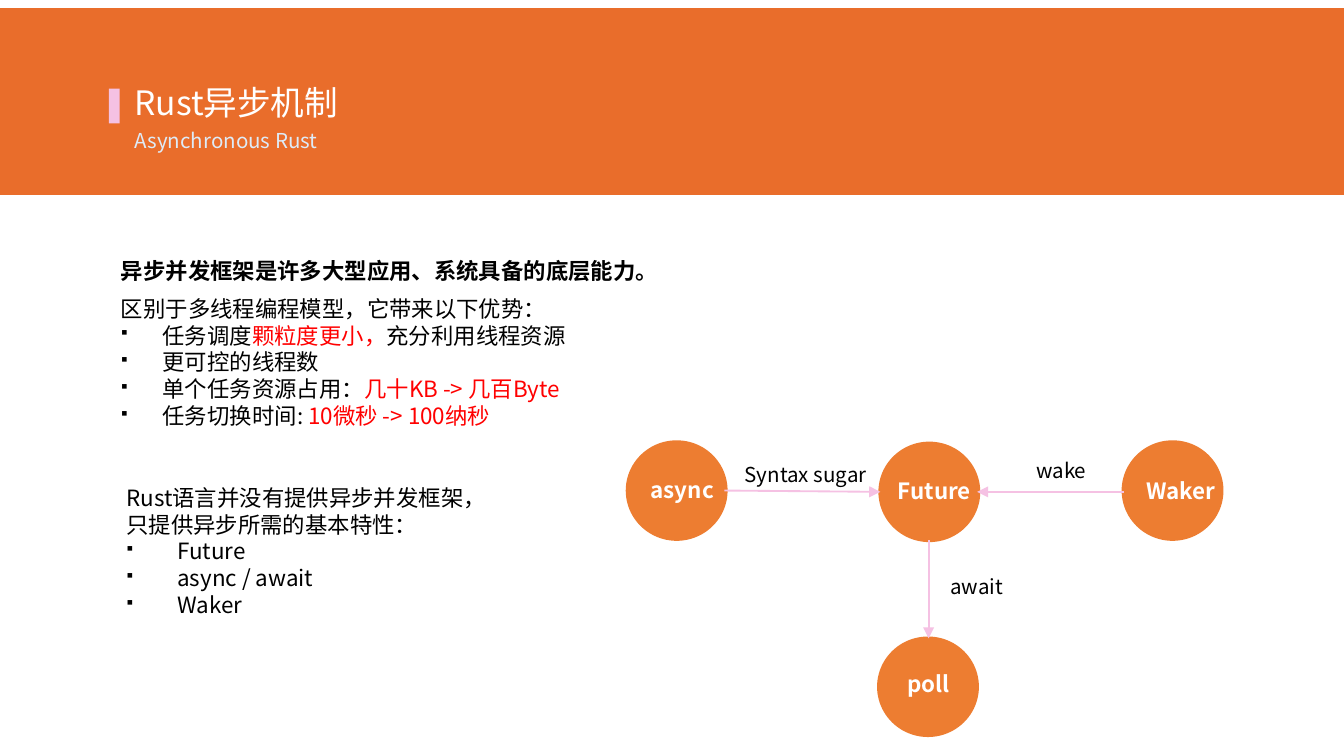
from lxml import etree
from pptx import Presentation, util as u
from pptx.dml.color import RGBColor
from pptx.enum import shapes as s, text as t
from pptx.oxml.ns import qn

PX = 9144  # 100 px to the inch
FONT = "Noto Sans CJK SC"
ORANGE, PINK, RED = "ED7D31", "F5C1E3", "FF0000"


def rgb(code):
    return RGBColor.from_string(code)


def write(shape, box, rows, size=12, color="000000", bold=False, head=1, indent=0, lead=False):
    """Rows after the first `head` are bullets; text between bars is red."""
    shape.left, shape.top, shape.width, shape.height = [n * PX for n in box]
    frame = shape.text_frame
    frame.word_wrap = True
    frame.auto_size = t.MSO_AUTO_SIZE.NONE
    frame.vertical_anchor = t.MSO_ANCHOR.TOP
    frame.margin_left = frame.margin_right = 5 * PX
    frame.margin_top = frame.margin_bottom = 5 * PX
    for i, row in enumerate(rows):
        para = frame.paragraphs[0] if i == 0 else frame.add_paragraph()
        para.alignment = t.PP_ALIGN.LEFT
        para.space_before = u.Pt(0)
        para.space_after = u.Pt(6 if lead and i == 0 else 0)
        props = para._p.get_or_add_pPr()
        dent = indent if i >= head else 0
        props.set("marL", str(dent * PX))
        props.set("indent", str(-dent * PX))
        if dent:
            etree.SubElement(props, qn("a:buSzPct")).set("val", "70000")
            etree.SubElement(props, qn("a:buFont")).set("typeface", "Wingdings")
            etree.SubElement(props, qn("a:buChar")).set("char", "§")  # small square
        else:
            etree.SubElement(props, qn("a:buNone"))
        for j, part in enumerate(row.split("|")):
            if not part:
                continue
            run = para.add_run()
            run.text = part
            run.font.size = u.Pt(size)
            run.font.bold = bold or (lead and i == 0)
            run.font.name = FONT
            run.font.color.rgb = rgb(RED if j % 2 else color)
            etree.SubElement(run._r.get_or_add_rPr(), qn("a:ea")).set("typeface", FONT)


def draw(kind, box, color):
    shape = slide.shapes.add_shape(kind, *[n * PX for n in box])
    shape.shadow.inherit = False
    shape.fill.solid()
    shape.fill.fore_color.rgb = rgb(color)
    shape.line.fill.background()
    return shape


deck = Presentation()
deck.slide_width = 1000 * PX
deck.slide_height = deck.slide_width * 9 // 16
slide = deck.slides.add_slide(deck.slide_layouts[3])
title, gains, basics = list(slide.placeholders)[:3]
add_box = slide.shapes.add_textbox

# Header band, behind the title
band = draw(s.MSO_SHAPE.RECTANGLE, (0, 6, 1000, 139), "E96D2B")
title._element.addprevious(band._element)
draw(s.MSO_SHAPE.RECTANGLE, (81, 66, 8, 26), PINK)
write(title, (95, 56, 501, 41), ["Rust异步机制"], size=18, color="FFFFFF")
write(add_box(0, 0, 0, 0), (95, 90, 334, 29), ["Asynchronous Rust"], size=11, color="DEEBF7")

# Lists
write(gains, (85, 186, 599, 163), [
    "异步并发框架是许多大型应用、系统具备的底层能力。",
    "区别于多线程编程模型，它带来以下优势：",
    "任务调度|颗粒度更小，|充分利用线程资源",
    "更可控的线程数",
    "单个任务资源占用：|几十KB -> 几百Byte",
    "任务切换时间: |10微秒 -> 100纳秒",
], head=2, indent=31, lead=True)
write(basics, (89, 355, 332, 131), [
    "Rust语言并没有提供异步并发框架，",
    "只提供异步所需的基本特性：",
    "Future", "async / await", "Waker",
], head=2, indent=38)

# Nodes: name, left, top, label left, label top, label width
for name, x, y, left, top, wide in [
    ("async", 467, 329, 479, 349, 62),
    ("Future", 655, 330, 663, 350, 75),
    ("Waker", 836, 329, 848, 350, 75),
    ("poll", 654, 475, 670, 494, 62),
]:
    node = draw(s.MSO_SHAPE.OVAL, (x, y, 73, 72), ORANGE)
    node.line.color.rgb = rgb(ORANGE)
    node.line.width = u.Pt(2)
    write(add_box(0, 0, 0, 0), (left, top, wide, 54), [name], color="FFFFFF", bold=True)

# Arrows: label, its place, start and end
for name, x, y, ends in [
    ("Syntax sugar", 549, 339, (539, 365, 655, 366)),
    ("wake", 766, 336, (836, 366, 727, 366)),
    ("await", 702, 422, (691, 402, 691, 475)),
]:
    arrow = slide.shapes.add_connector(s.MSO_CONNECTOR.STRAIGHT, *[n * PX for n in ends])
    arrow.line.color.rgb = rgb(PINK)
    arrow.line.width = u.Pt(1)
    etree.SubElement(arrow.line._get_or_add_ln(), qn("a:tailEnd")).set("type", "triangle")
    etree.SubElement(arrow._element.spPr, qn("a:effectLst"))
    write(add_box(0, 0, 0, 0), (x, y, 140, 28), [name], size=11)

deck.save("out.pptx")
